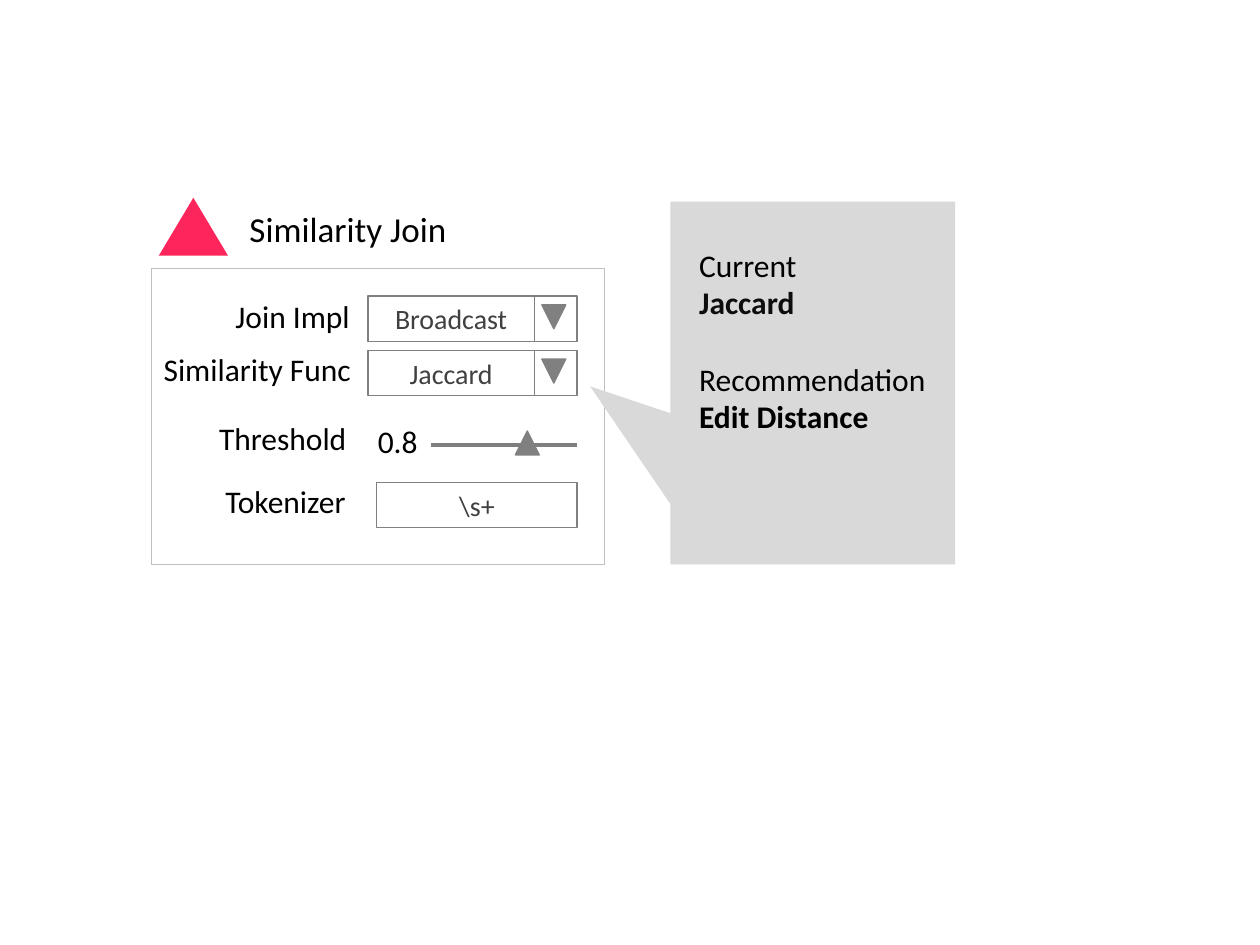
from dataclasses import dataclass

from lxml.etree import SubElement
from pptx import Presentation
from pptx.dml.color import RGBColor
from pptx.enum.shapes import MSO_CONNECTOR as Line, MSO_SHAPE as Kind
from pptx.enum.text import MSO_ANCHOR as Anchor, MSO_AUTO_SIZE as Fit, PP_ALIGN as Align
from pptx.oxml.ns import qn
from pptx.util import Inches, Pt

FONT = "Calibri"
BLACK, GREY, WHITE = "000000", "808080", "FFFFFF"
FIELD_H, RIGHT = 0.36, 4.58  # field height and shared right edge
DROP_W, ARROW = 0.34, 0.19


@dataclass
class Box:
    left: float
    top: float
    width: float
    height: float

    def emu(self) -> list:
        return [Inches(v) for v in (self.left, self.top, self.width, self.height)]


@dataclass
class Field:
    label: str
    spot: Box
    value: str
    left: float
    top: float
    drop: bool


FIELDS = [
    Field("Join Impl", Box(1.77, 2.31, 1.12, 0.4), "Broadcast", 2.92, 2.35, True),
    Field("Similarity Func", Box(1.2, 2.73, 1.69, 0.4), "Jaccard", 2.92, 2.78, True),
    Field("Tokenizer", Box(1.69, 3.78, 1.2, 0.4), "\\s+", 2.99, 3.83, False),
]


def paint(hue: str) -> RGBColor:
    return RGBColor.from_string(hue)


def style(run, size: int, hue: str = BLACK, bold: bool = False) -> None:
    for key, val in {"name": FONT, "size": Pt(size), "bold": bold}.items():
        setattr(run.font, key, val)
    run.font.color.rgb = paint(hue)


def add_form(slide, kind, box: Box, fill: str, edge: str = "", turn: int = 0):
    form = slide.shapes.add_shape(kind, *box.emu())
    form.shadow.inherit = False
    form.rotation = turn
    form.fill.solid()
    form.fill.fore_color.rgb = paint(fill)
    if edge:
        form.line.color.rgb = paint(edge)
        form.line.width = Pt(0.75)
    else:
        form.line.fill.background()
    return form


def add_label(slide, text: str, box: Box) -> None:
    frame = slide.shapes.add_textbox(*box.emu()).text_frame
    frame.word_wrap = False
    frame.auto_size = Fit.SHAPE_TO_FIT_TEXT
    run = frame.paragraphs[0].add_run()
    run.text = text
    style(run, 18)


def add_arrow(slide, left: float, top: float, turn: int = 0) -> None:
    add_form(slide, Kind.ISOSCELES_TRIANGLE, Box(left, top, ARROW, ARROW), GREY, GREY, turn)


def add_field(slide, item: Field) -> None:
    split = RIGHT - DROP_W if item.drop else RIGHT
    cell = Box(item.left, item.top, split - item.left, FIELD_H)
    frame = add_form(slide, Kind.RECTANGLE, cell, WHITE, GREY).text_frame
    frame.vertical_anchor = Anchor.MIDDLE
    para = frame.paragraphs[0]
    para.alignment = Align.CENTER
    run = para.add_run()
    run.text = item.value
    style(run, 16, "404040")
    if item.drop:
        add_form(slide, Kind.RECTANGLE, Box(split, item.top, DROP_W, FIELD_H), WHITE, GREY)
        add_arrow(slide, split + 0.06, item.top + 0.07, 180)
    add_label(slide, item.label, item.spot)


def add_slider(slide) -> None:
    add_label(slide, "Threshold", Box(1.64, 3.28, 1.24, 0.4))
    add_label(slide, "0.8", Box(2.9, 3.3, 0.52, 0.4))
    ends = [Inches(v) for v in (3.42, 3.53, RIGHT, 3.53)]
    track = slide.shapes.add_connector(Line.STRAIGHT, *ends)
    track.line.color.rgb = paint("7F7F7F")
    track.line.width = Pt(2)
    SubElement(track._element.spPr, qn("a:effectLst"))
    add_arrow(slide, 4.09, 3.42)


def add_title(slide) -> None:
    title = slide.shapes.title
    title.left, title.top, title.width, title.height = Box(1.88, 1.6, 1.78, 0.44).emu()
    frame = title.text_frame
    for key, val in {"word_wrap": False, "auto_size": Fit.NONE,
                     "vertical_anchor": Anchor.TOP}.items():
        setattr(frame, key, val)
    para = frame.paragraphs[0]
    para.alignment = Align.LEFT
    run = para.add_run()
    run.text = "Similarity Join"
    style(run, 20)


def add_advice(slide) -> None:
    # The callout is turned so that its tip points left at the form
    call = add_form(slide, Kind.RECTANGULAR_CALLOUT, Box(5.01, 1.91, 2.88, 2.26),
                    "D9D9D9", turn=90)
    call.adjustments[0], call.adjustments[1] = 0.009, 0.782
    frame = slide.shapes.add_textbox(*Box(5.45, 1.9, 2.12, 1.62).emu()).text_frame
    frame.word_wrap = True
    frame.auto_size = Fit.SHAPE_TO_FIT_TEXT
    lines = [("Current", BLACK, False, 0), ("Jaccard", "0D0D0D", True, 0),
             ("Recommendation", BLACK, False, 22), ("Edit Distance", BLACK, True, 0)]
    for i, (text, hue, bold, gap) in enumerate(lines):
        para = frame.add_paragraph() if i else frame.paragraphs[0]
        if gap:
            para.space_before = Pt(gap)
        run = para.add_run()
        run.text = text
        style(run, 18, hue, bold)


def main() -> None:
    deck = Presentation()
    deck.slide_width, deck.slide_height = Inches(10), Inches(7.5)
    slide = deck.slides.add_slide(deck.slide_layouts[5])

    # Heading with its marker
    add_title(slide)
    add_form(slide, Kind.ISOSCELES_TRIANGLE, Box(1.26, 1.57, 0.55, 0.46), "FC265C")

    # Settings form
    add_form(slide, Kind.RECTANGLE, Box(1.2, 2.13, 3.6, 2.35), WHITE, "BFBFBF")
    for item in FIELDS:
        add_field(slide, item)
    add_slider(slide)

    # Recommendation callout
    add_advice(slide)
    deck.save("out.pptx")


if __name__ == "__main__":
    main()
